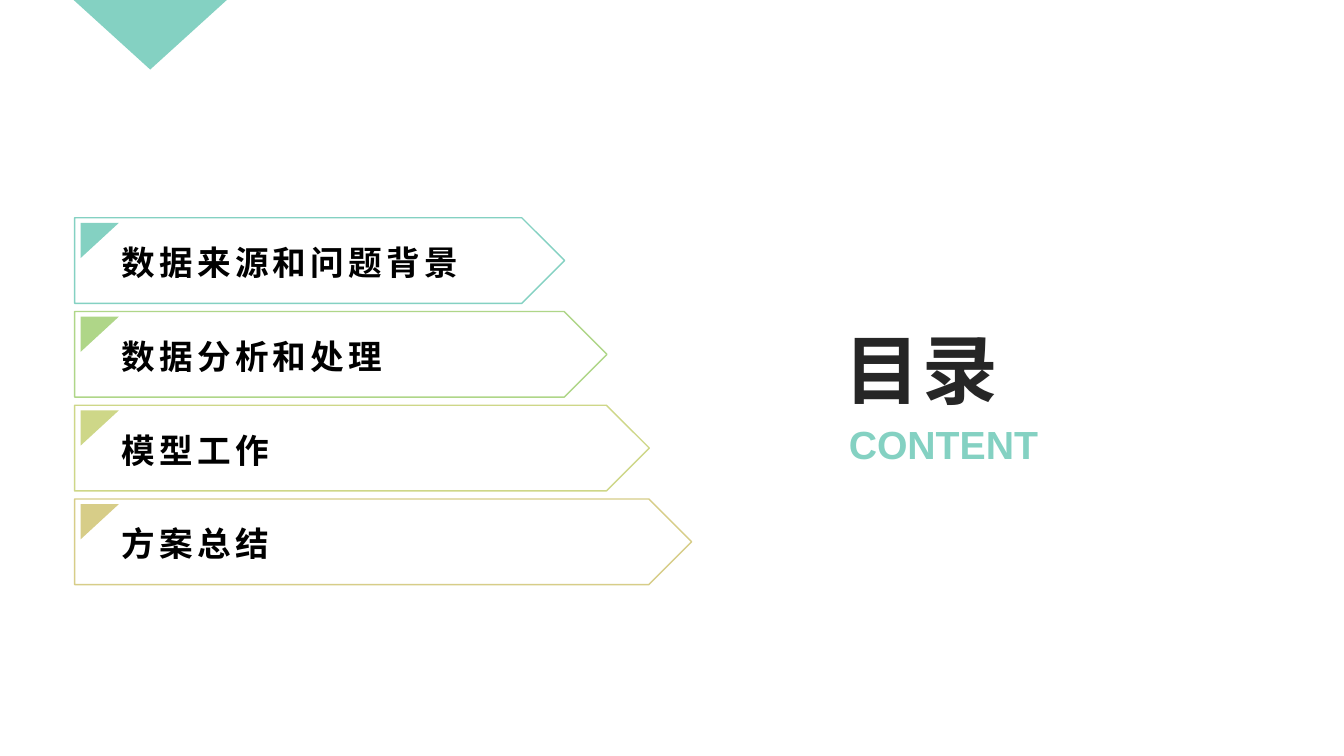
from pptx import Presentation
from pptx.dml.color import RGBColor
from pptx.enum.shapes import MSO_SHAPE as SHAPE
from pptx.enum.text import MSO_ANCHOR as ANCHOR
from pptx.oxml.ns import qn
from pptx.util import Emu, Pt

PX = 9144  # EMU per px, 100 px to the inch
FONT = "Arial"
COLORS = {
    "teal": "84D1C2",
    "green": "AFD688",
    "lime": "CED788",
    "sand": "D7CD88",
    "black": "000000",
    "dark": "262626",
}
CHAPTERS = [
    ("数据来源和问题背景", "teal"),
    ("数据分析和处理", "green"),
    ("模型工作", "lime"),
    ("方案总结", "sand"),
]


def px(n):
    return Emu(n * PX)


def rgb(name):
    return RGBColor.from_string(COLORS[name])


def fill_plain(sp, color):
    sp.shadow.inherit = False
    sp.fill.solid()
    sp.fill.fore_color.rgb = rgb(color)
    sp.line.fill.background()


def add_label(s, box, text, size, color, spacing=0, lang="zh-CN"):
    sp = s.shapes.add_textbox(*map(px, box))
    tf = sp.text_frame
    tf.word_wrap = True
    tf.vertical_anchor = ANCHOR.BOTTOM
    r = tf.paragraphs[0].add_run()
    r.text = text
    r.font.name = FONT
    r.font.size = Pt(size)
    r.font.bold = True
    r.font.color.rgb = rgb(color)
    rPr = r.font._element
    rPr.set("lang", lang)
    if spacing:
        rPr.set("spc", str(int(spacing * 100)))
    ea = rPr.makeelement(qn("a:ea"), {"typeface": FONT})
    rPr.find(qn("a:latin")).addnext(ea)
    return tf


def add_top_triangle(s, x, y, w, h):
    sp = s.shapes.add_shape(SHAPE.ISOSCELES_TRIANGLE, *map(px, (x, y, w, h)))
    sp._element.spPr.find(qn("a:xfrm")).set("flipV", "1")
    fill_plain(sp, "teal")


def add_chapter(s, x, y, w, h, text, color):
    # Outlined arrow
    sp = s.shapes.add_shape(SHAPE.PENTAGON, *map(px, (x, y, w, h)))
    sp.shadow.inherit = False
    sp.fill.background()
    sp.line.color.rgb = rgb(color)
    sp.line.width = Pt(1)

    # Corner mark
    left, top = x + 6, y + 5
    fb = s.shapes.build_freeform(left, top, scale=PX)
    fb.add_line_segments([(left + 38, top), (left, top + 35)], close=True)
    fill_plain(fb.convert_to_shape(), color)

    # Chapter name
    tf = add_label(s, (x + 37, y + 22, 411, 42), text, 24, "black", spacing=3)
    tf.margin_bottom = 0
    tf.paragraphs[0].line_spacing = 1.2


def add_chapters(s, x, y, w, h):
    pitch, growth = 93, 42
    for i, (text, color) in enumerate(CHAPTERS):
        add_chapter(s, x, y + i * pitch, w + i * growth, h, text, color)


def add_heading(s, x, y):
    add_label(s, (x, y, 217, 106), "目录", 54, "dark", spacing=1.5)
    add_label(s, (x + 4, y + 103, 210, 57), "CONTENT", 28, "teal", lang="en-US")


def main():
    prs = Presentation()
    prs.slide_width, prs.slide_height = px(1333), px(750)
    s = prs.slides.add_slide(prs.slide_layouts[6])
    add_top_triangle(s, 73, 0, 152, 69)
    add_chapters(s, 74, 216, 486, 85)
    add_heading(s, 828, 309)
    prs.save("out.pptx")


if __name__ == "__main__":
    main()
